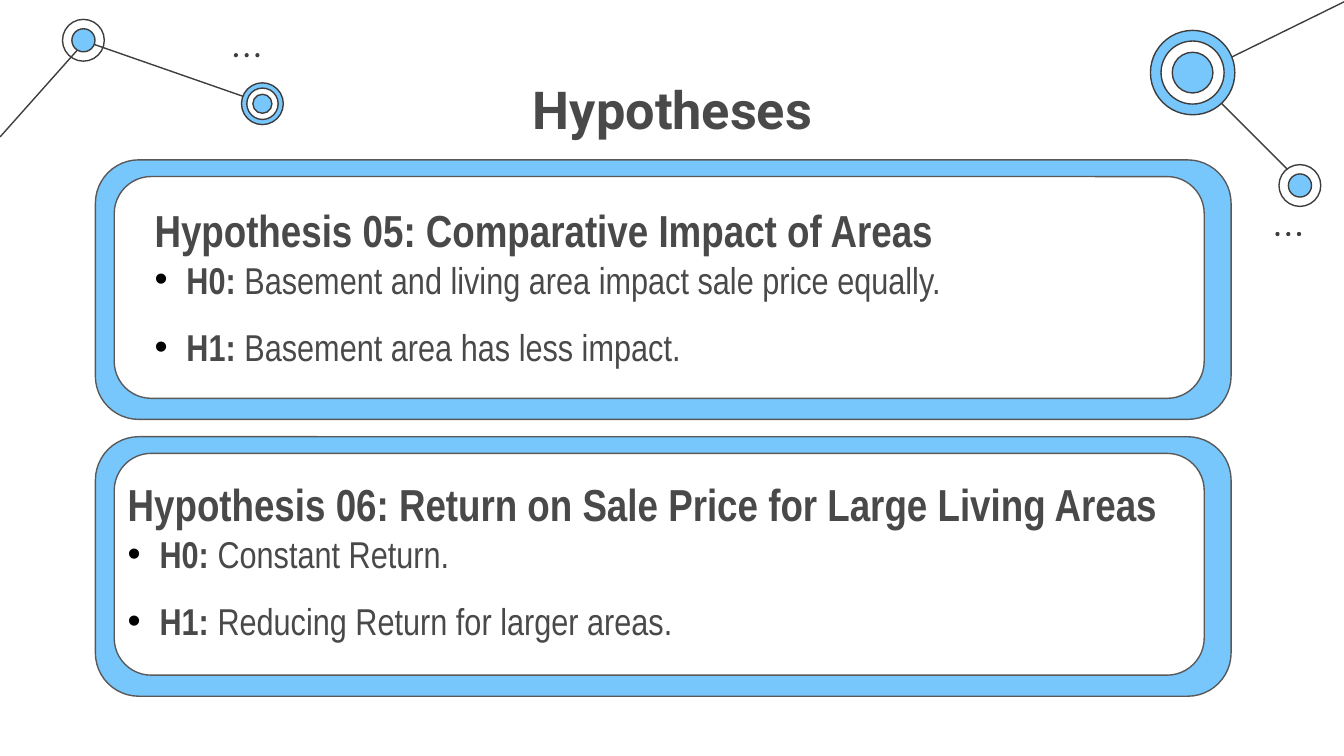
from lxml.etree import SubElement as Sub
from pptx import Presentation as Deck
from pptx.dml.color import RGBColor as RGB
from pptx.enum.shapes import MSO_CONNECTOR as Link, MSO_SHAPE as Kind
from pptx.enum.text import MSO_ANCHOR as Anchor, MSO_AUTO_SIZE as Fit, PP_ALIGN as Align
from pptx.oxml.ns import qn
from pptx.util import Pt

BLUE = RGB(0x77, 0xC6, 0xFC)
WHITE = RGB(0xFF, 0xFF, 0xFF)
DARK = RGB(0x3D, 0x3D, 0x3D)
EDGE = RGB(0x59, 0x59, 0x59)
INK = RGB(0x49, 0x49, 0x49)

LINKS = [
    (696.2, 97.2, 638.6, 39.6),
    (46.1, 22.3, 141.1, 55.4),
    (0, 73.4, 46.1, 21.6),
    (720, 1, 641.5, 39.6),
]
NODES = [
    (44.7, 21.6, [(22.4, None), (12.4, BLUE)]),
    (140.6, 55.6, [(22.4, BLUE), (16.8, WHITE), (10.2, BLUE)]),
    (638.9, 38.9, [(45.2, BLUE), (33.8, WHITE), (21.8, BLUE)]),
    (696.4, 99.4, [(22.4, WHITE), (12.4, BLUE)]),
]
DOTS = [(126.4, 29.6), (684.4, 125.4)]
CARDS = [
    (85.7, (75.6, 87.1, 522.7, 111.6), "Hypothesis 05: Comparative Impact of Areas",
     [("H0:", " Basement and living area impact sale price equally."),
      ("H1:", " Basement area has less impact.")]),
    (234, (61.2, 234, 583.9, 111.6), "Hypothesis 06: Return on Sale Price for Large Living Areas",
     [("H0:", " Constant Return."),
      ("H1:", " Reducing Return for larger areas.")]),
]


def add_form(slide, kind, box, fill, edge):
    form = slide.shapes.add_shape(kind, *map(Pt, box))
    form.shadow.inherit = False
    if fill is None:
        form.fill.background()
    else:
        form.fill.solid()
        form.fill.fore_color.rgb = fill
    if edge is None:
        form.line.fill.background()
    else:
        form.line.color.rgb = edge
        form.line.width = Pt(0.75)
    return form


def add_disc(slide, x, y, size, fill, edge):
    box = (x - size / 2, y - size / 2, size, size)
    add_form(slide, Kind.OVAL, box, fill, edge)


def add_link(slide, ends):
    link = slide.shapes.add_connector(Link.STRAIGHT, *map(Pt, ends))
    link.line.color.rgb = DARK
    link.line.width = Pt(0.75)
    Sub(link.element.spPr, qn("a:effectLst"))


def add_dots(slide, x, y):
    for step in range(3):
        add_disc(slide, x + step * 5.76, y, 2.2, DARK, None)


def add_panel(slide, top):
    for box, fill in (((51.1, top, 608.4, 139), BLUE),
                      ((61.2, top + 8.9, 583.9, 118.8), WHITE)):
        form = add_form(slide, Kind.ROUNDED_RECTANGLE, box, fill, EDGE)
        form.adjustments[0] = 0.167


def place(hold, box, anchor):
    hold.left, hold.top, hold.width, hold.height = map(Pt, box)
    frame = hold.text_frame
    frame.word_wrap = True
    frame.auto_size = Fit.NONE
    frame.vertical_anchor = anchor
    frame.margin_left = frame.margin_right = Pt(7.2)
    frame.margin_top = frame.margin_bottom = Pt(7.2)
    return frame


def add_run(para, text, size, bold, font="Arial Narrow"):
    run = para.add_run()
    run.text = text
    run.font.name = font
    run.font.size = Pt(size)
    run.font.bold = bold
    run.font.color.rgb = INK


def set_para(para, space, mark):
    para.alignment = Align.LEFT
    para.space_before = para.space_after = Pt(0)
    para.line_spacing = space
    props = para._p.get_or_add_pPr()
    hang = Pt(17.1) if mark else 0
    props.set("marL", str(hang))
    props.set("indent", str(-hang))
    if mark:
        tint = Sub(props, qn("a:buClr"))
        Sub(tint, qn("a:srgbClr"), val="000000")
        Sub(props, qn("a:buFont"), typeface="Arial")
        Sub(props, qn("a:buChar"), char="•")
    else:
        Sub(props, qn("a:buNone"))


def fill_title(hold):
    frame = place(hold, (123.8, 34.6, 473, 46.8), Anchor.MIDDLE)
    para = frame.paragraphs[0]
    para.alignment = Align.CENTER
    add_run(para, "Hypotheses", 28, True, "Roboto")


def fill_body(hold, box, head, items):
    frame = place(hold, box, Anchor.TOP)
    para = frame.paragraphs[0]
    set_para(para, 1.5, False)
    add_run(para, head, 24, True)
    for (label, claim), space in zip(items, (1.0, 1.5)):
        para = frame.add_paragraph()
        set_para(para, space, True)
        add_run(para, label, 20, True)
        add_run(para, claim, 20, False)


def main():
    deck = Deck()
    deck.slide_width, deck.slide_height = Pt(720), Pt(405)
    slide = deck.slides.add_slide(deck.slide_layouts[3])
    title, *bodies = slide.placeholders
    for ends in LINKS:
        add_link(slide, ends)
    for x, y, rings in NODES:
        for size, fill in rings:
            add_disc(slide, x, y, size, fill, DARK)
    for x, y in DOTS:
        add_dots(slide, x, y)
    fill_title(title)
    for body, (top, box, head, items) in zip(bodies, CARDS):
        add_panel(slide, top)
        fill_body(body, box, head, items)
        body.element.getparent().append(body.element)
    deck.save("out.pptx")


if __name__ == "__main__":
    main()
